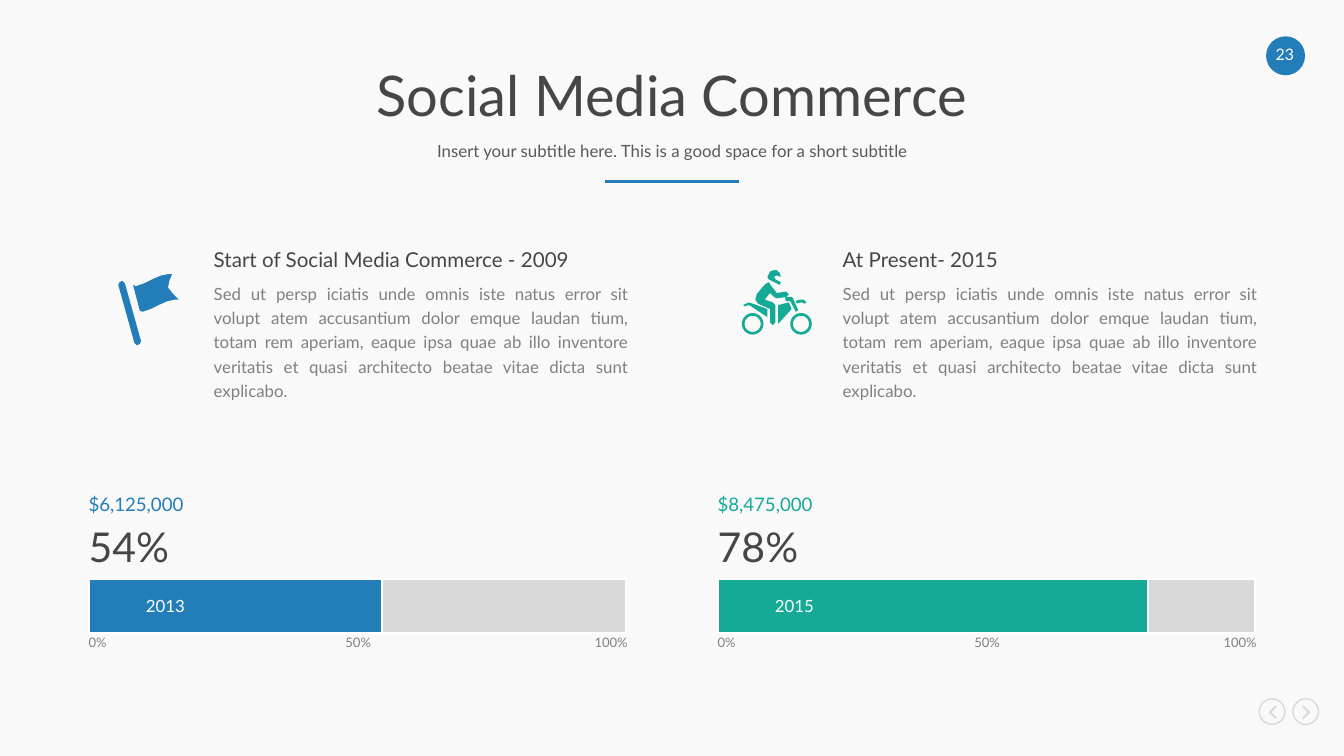
from dataclasses import dataclass
from math import cos, pi, sin

from lxml import etree
from pptx import Presentation, util as u
from pptx.dml.color import RGBColor
from pptx.enum import shapes, text
from pptx.oxml.ns import qn

ALIGN = text.PP_ALIGN


@dataclass(frozen=True)
class Theme:
    font: str = "Lato"
    paper: str = "F9F9F9"
    white: str = "FFFFFF"
    blue: str = "237DB9"
    teal: str = "14AA96"
    dark: str = "464646"
    medium: str = "595959"
    gray: str = "808080"
    light: str = "D9D9D9"
    title: float = 30
    percent: float = 22
    heading: float = 11
    amount: float = 10
    body: float = 9
    page: float = 8.5
    scale: float = 7


def write(frame, content, size, color, font, align=ALIGN.LEFT,
          anchor=text.MSO_ANCHOR.TOP, spacing=None, after=None):
    frame.word_wrap = True
    frame.auto_size = text.MSO_AUTO_SIZE.NONE
    frame.vertical_anchor = anchor
    frame.margin_left = frame.margin_right = 0
    frame.margin_top = frame.margin_bottom = 0
    paragraph = frame.paragraphs[0]
    paragraph.alignment = align
    paragraph.space_before = u.Pt(0)
    if spacing is not None:
        paragraph.line_spacing = spacing
    if after is not None:
        paragraph.space_after = u.Pt(after)
    words = paragraph.add_run()
    words.text = content
    words.font.name = font
    words.font.size = u.Pt(size)
    words.font.color.rgb = RGBColor.from_string(color)


class Canvas:
    def __init__(self, slide, theme):
        self.slide = slide
        self.theme = theme
        slide.background.fill.solid()
        slide.background.fill.fore_color.rgb = RGBColor.from_string(theme.paper)

    def paint(self, part, fill=None, line=None, weight=1):
        part.shadow.inherit = False
        if fill:
            part.fill.solid()
            part.fill.fore_color.rgb = RGBColor.from_string(fill)
        else:
            part.fill.background()
        if line:
            part.line.color.rgb = RGBColor.from_string(line)
            part.line.width = u.Pt(weight)
        else:
            part.line.fill.background()

    def preset(self, kind, box, **style):
        part = self.slide.shapes.add_shape(kind, *map(u.Inches, box))
        self.paint(part, **style)

    def outline(self, contours, fill):
        points = [[(u.Inches(x), u.Inches(y)) for x, y in c] for c in contours]
        builder = self.slide.shapes.build_freeform(*points[0][0], scale=1.0)
        builder.add_line_segments(points[0][1:], close=True)
        for contour in points[1:]:
            builder.move_to(*contour[0])
            builder.add_line_segments(contour[1:], close=True)
        self.paint(builder.convert_to_shape(), fill=fill)

    def rule(self, start, end, color, weight):
        stroke = self.slide.shapes.add_connector(
            shapes.MSO_CONNECTOR.STRAIGHT, *map(u.Inches, (*start, *end)))
        stroke.line.color.rgb = RGBColor.from_string(color)
        stroke.line.width = u.Pt(weight)
        etree.SubElement(stroke._element.spPr, qn("a:effectLst"))

    def label(self, content, box, size, color, **style):
        holder = self.slide.shapes.add_textbox(*map(u.Inches, box))
        write(holder.text_frame, content, size, color, self.theme.font, **style)

    def heading(self, holder, content, box, size, color):
        holder.left, holder.top, holder.width, holder.height = map(u.Inches, box)
        write(holder.text_frame, content, size, color, self.theme.font,
              align=ALIGN.CENTER, anchor=text.MSO_ANCHOR.MIDDLE, spacing=0.9)

    def pager(self, center, direction):
        middle = 5.3
        self.preset(shapes.MSO_SHAPE.OVAL, (center - 0.1, middle - 0.1, 0.19, 0.19),
                    line=self.theme.light, weight=0.75)
        chevron = [(-0.02, -0.05), (-0.03, -0.04), (0.01, 0),
                   (-0.03, 0.04), (-0.02, 0.05), (0.03, 0)]
        self.outline([[(center + direction * x, middle + y) for x, y in chevron]],
                     self.theme.light)

    def story(self, left, title, body):
        t = self.theme
        self.label(body, (left, 2.08, 3.08, 0.73), t.body, t.gray,
                   align=ALIGN.JUSTIFY, spacing=u.Pt(13), after=12)
        self.label(title, (left, 1.84, 3.08, 0.19), t.heading, t.dark,
                   align=ALIGN.JUSTIFY, after=12)

    def progress(self, left, filled, percent, amount, year, color):
        t = self.theme
        for width, fill in ((4, t.light), (filled, color)):
            self.preset(shapes.MSO_SHAPE.RECTANGLE, (left, 4.31, width, 0.4),
                        fill=fill, line=t.white)
        self.label(percent, (left, 3.88, 1.01, 0.39), t.percent, t.dark)
        self.label(amount, (left, 3.67, 0.8, 0.17), t.amount, color)
        self.label(year, (left + 0.32, 4.43, 0.5, 0.15), t.body, t.white,
                   align=ALIGN.CENTER)
        ticks = (("0%", ALIGN.LEFT), ("50%", ALIGN.CENTER), ("100%", ALIGN.RIGHT))
        for step, (mark, align) in enumerate(ticks):
            self.label(mark, (left + 1.83 * step, 4.72, 0.35, 0.14), t.scale,
                       t.gray, align=align)


def circle(x, y, radius, steps=36):
    return [(x + radius * cos(2 * pi * i / steps), y + radius * sin(2 * pi * i / steps))
            for i in range(steps)]


BANNER = [(0.99, 2.12), (1.01, 2.13), (1.07, 2.11), (1.13, 2.08), (1.2, 2.05),
          (1.25, 2.04), (1.28, 2.04), (1.26, 2.09), (1.25, 2.14), (1.29, 2.19),
          (1.33, 2.23), (1.3, 2.23), (1.25, 2.24), (1.18, 2.27), (1.12, 2.3),
          (1.06, 2.32), (1.04, 2.31)]
POLE = [(0.88, 2.12), (0.89, 2.1), (0.91, 2.09), (0.93, 2.11), (1.05, 2.54),
        (1.04, 2.56), (1.02, 2.57), (1, 2.55)]
FENDER = [(5.92, 2.24), (5.95, 2.23), (5.98, 2.23), (6, 2.25), (5.99, 2.26),
          (5.96, 2.25), (5.93, 2.26)]
FORK = [(5.84, 2.22), (5.85, 2.21), (5.89, 2.21), (5.9, 2.22), (5.94, 2.31),
        (5.92, 2.32), (5.88, 2.24), (5.85, 2.24)]
ENGINE = [(5.79, 2.41), (5.79, 2.27), (5.87, 2.25), (5.89, 2.3)]
HELMET = [(5.71, 2.06), (5.73, 2.02), (5.76, 2.01), (5.78, 2.01), (5.8, 2.03),
          (5.81, 2.06), (5.78, 2.05), (5.76, 2.06), (5.77, 2.08), (5.81, 2.1),
          (5.8, 2.12), (5.72, 2.08)]
RIDER = [(5.62, 2.23), (5.63, 2.19), (5.67, 2.14), (5.7, 2.11), (5.72, 2.1),
         (5.74, 2.13), (5.78, 2.18), (5.85, 2.17), (5.87, 2.19), (5.85, 2.21),
         (5.78, 2.22), (5.76, 2.21), (5.73, 2.18), (5.69, 2.23), (5.75, 2.25),
         (5.77, 2.27), (5.77, 2.4), (5.75, 2.42), (5.73, 2.4), (5.73, 2.3),
         (5.64, 2.26)]
SEAT = [(5.53, 2.27), (5.57, 2.25), (5.63, 2.27), (5.71, 2.3), (5.71, 2.36),
        (5.59, 2.28), (5.57, 2.27), (5.54, 2.28)]
WHEELS = [circle(x, 2.41, radius) for x in (5.6, 5.96) for radius in (0.08, 0.06)]

STORY = ("Sed ut persp iciatis unde omnis iste natus error sit volupt atem accusantium "
         "dolor emque laudan tium, totam rem aperiam, eaque ipsa quae ab illo inventore "
         "veritatis et quasi architecto beatae vitae dicta sunt explicabo.")


def main():
    theme = Theme()
    deck = Presentation()
    deck.slide_width, deck.slide_height = u.Inches(10), u.Inches(10 * 9 / 16)
    slide = deck.slides.add_slide(deck.slide_layouts[0])
    canvas = Canvas(slide, theme)
    title, subtitle = slide.placeholders
    canvas.heading(title, "Social Media Commerce", (0.65, 0.48, 8.7, 0.5),
                   theme.title, theme.dark)
    canvas.heading(subtitle,
                   "Insert your subtitle here. This is a good space for a short subtitle",
                   (0.65, 1.01, 8.7, 0.25), theme.body, theme.medium)
    canvas.rule((4.5, 1.35), (5.5, 1.35), theme.blue, 1.5)
    canvas.preset(shapes.MSO_SHAPE.OVAL, (9.42, 0.27, 0.29, 0.29), fill=theme.blue)
    canvas.label("23", (9.44, 0.33, 0.24, 0.14), theme.page, theme.white,
                 align=ALIGN.CENTER)
    canvas.pager(9.47, -1)
    canvas.pager(9.72, 1)

    periods = (
        ("Start of Social Media Commerce - 2009", 2.18, "54%", "$6,125,000", "2013",
         theme.blue, [BANNER, POLE]),
        ("At Present- 2015", 3.2, "78%", "$8,475,000", "2015",
         theme.teal, [FENDER, FORK, ENGINE, HELMET, RIDER, SEAT, *WHEELS]),
    )
    for column, (name, filled, percent, amount, year, color, icon) in enumerate(periods):
        left = 0.66 + 4.68 * column
        canvas.story(left + 0.93, name, STORY)
        canvas.progress(left, filled, percent, amount, year, color)
        canvas.outline(icon, color)

    deck.save("out.pptx")


if __name__ == "__main__":
    main()
